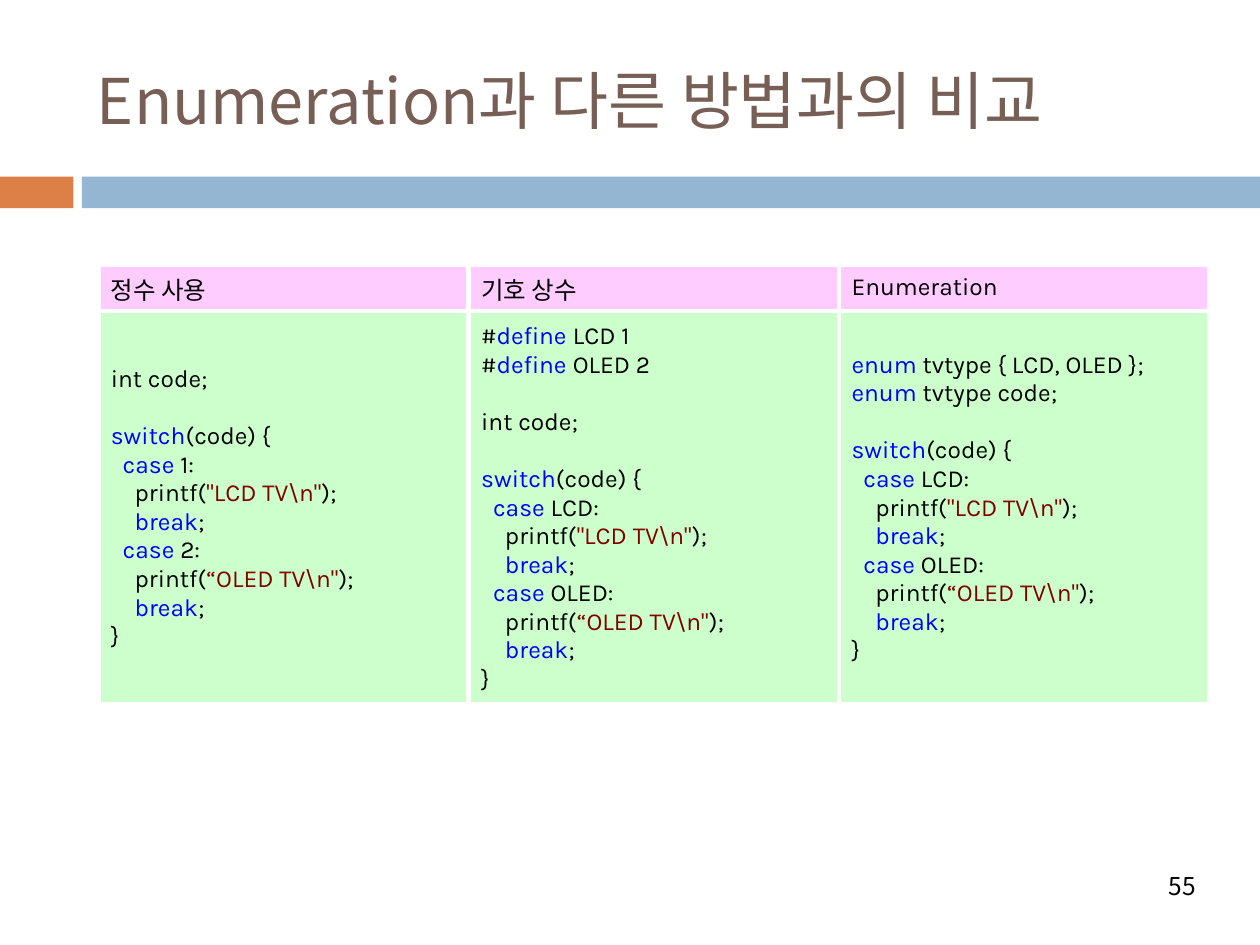
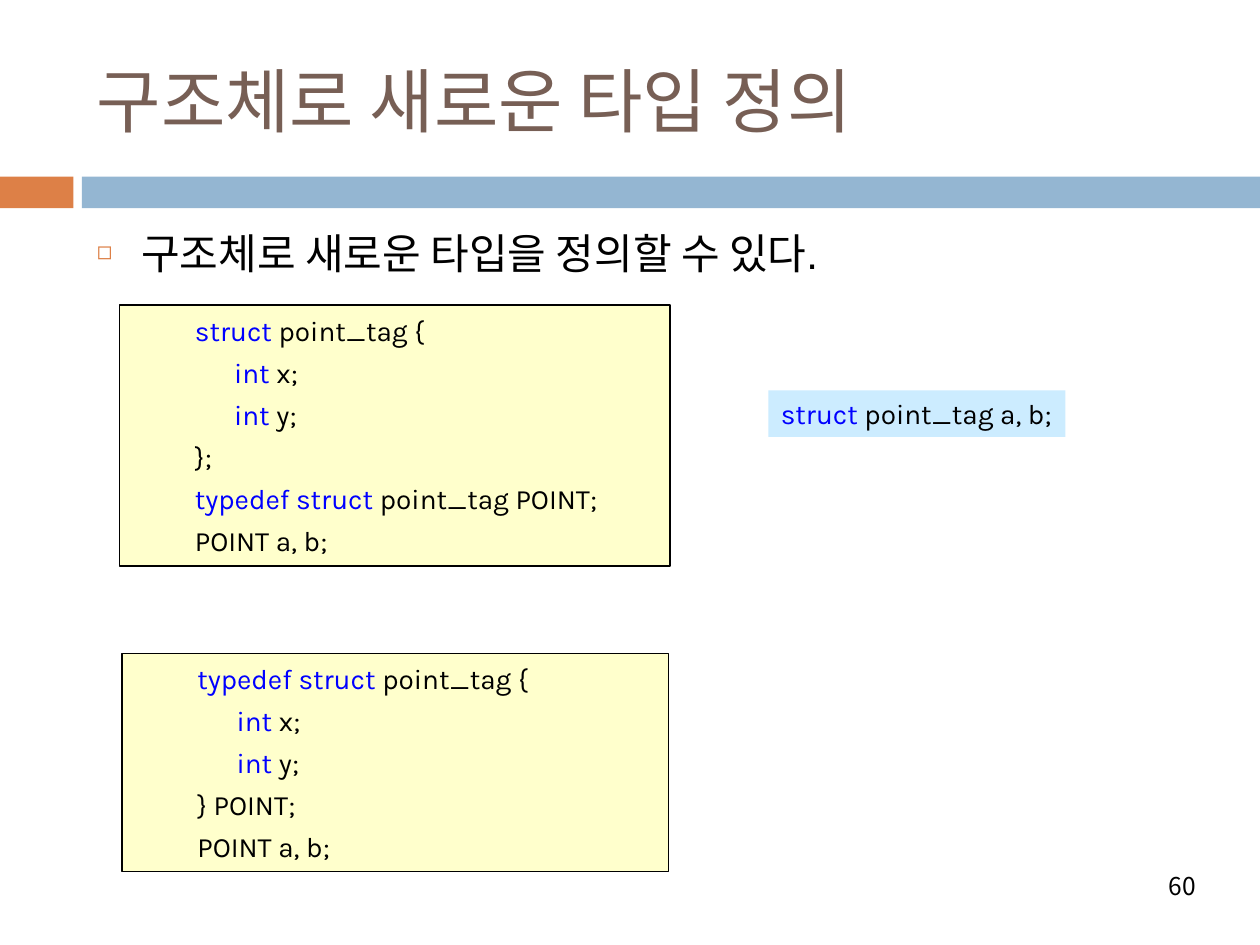
import dataclasses

import pptx
import pptx.dml.color
import pptx.enum.shapes
import pptx.enum.text
import pptx.oxml
import pptx.oxml.ns
import pptx.util
from pptx.util import Cm, Pt

ANCHOR = pptx.enum.text.MSO_ANCHOR
ALIGN = pptx.enum.text.PP_ALIGN


@dataclasses.dataclass(frozen=True)
class Theme:
    """Colours, fonts and type sizes of the deck."""
    black: str = "000000"
    white: str = "FFFFFF"
    title: str = "775F55"
    orange: str = "DD8047"
    blue: str = "94B6D2"
    keyword: str = "0000FF"
    string: str = "800000"
    header_fill: str = "FFCCFF"
    cell_fill: str = "CCFFCC"
    code_fill: str = "FFFFCC"
    note_fill: str = "CCECFF"
    korean_font: str = "Noto Sans CJK KR"
    code_font: str = "Karla"
    body_font: str = "Arial"
    title_size: int = 40
    long_title_size: int = 36
    body_size: int = 24
    code_size: int = 16
    small_size: int = 14


@dataclasses.dataclass(frozen=True)
class Box:
    """A rectangle measured in centimetres."""
    left: float
    top: float
    width: float
    height: float

    def lengths(self):
        """Return left, top, width and height as slide lengths."""
        return [Cm(side) for side in dataclasses.astuple(self)]


THEME = Theme()
SLIDE = Box(0, 0, 25.4, 19.05)
TITLE = Box(1.7, 0.64, 22.66, 2.74)
BODY = Box(1.7, 4.45, 22.66, 12.5)
BAND = Box(0, 3.56, SLIDE.width, 0.64)
NUMBER = Box(17.3, 17.35, 7.06, 1.02)


def color(code):
    """Turn a hexadecimal code into a colour."""
    return pptx.dml.color.RGBColor.from_string(code)


def write(para, text, size=THEME.small_size, font=THEME.code_font, ink=THEME.black,
          align=ALIGN.LEFT, before=0, margin=0, indent=0):
    """Write text into a paragraph, colouring parts between bars as code."""
    para.alignment = align
    para.space_before = Pt(before)
    properties = para._p.get_or_add_pPr()
    properties.set("marL", str(Cm(margin)))
    properties.set("indent", str(Cm(indent)))
    for place, part in enumerate(text.split("|")):
        if not part:
            continue
        span = para.add_run()
        span.text = part
        span.font.size = Pt(size)
        span.font.name = font
        marked = THEME.string if part[0] in "\"“" else THEME.keyword
        span.font.color.rgb = color(marked if place % 2 else ink)
        asian = pptx.oxml.parse_xml(
            f'<a:ea {pptx.oxml.ns.nsdecls("a")} typeface="{THEME.korean_font}"/>')
        span.font._element.find(pptx.oxml.ns.qn("a:latin")).addnext(asian)


def write_code(frame, lines, step, margin=0, before=0, gap=0, **style):
    """Write code lines, turning leading spaces and empty lines into spacing."""
    para, extra = frame.paragraphs[0], 0
    for line in lines:
        if not line:
            extra = gap
            continue
        if para.runs:
            para = frame.add_paragraph()
        code = line.lstrip(" ")
        level = (len(line) - len(code)) // 2
        write(para, code, margin=margin + level * step, before=before + extra, **style)
        extra = 0


def add_panel(page, box, fill, line=None):
    """Add a plain rectangle."""
    panel = page.shapes.add_shape(pptx.enum.shapes.MSO_SHAPE.RECTANGLE, *box.lengths())
    panel.shadow.inherit = False
    panel.fill.solid()
    panel.fill.fore_color.rgb = color(fill)
    if line:
        panel.line.color.rgb = color(line)
        panel.line.width = Pt(0.75)
    else:
        panel.line.fill.background()
    return panel


def add_band(page, box):
    """Add the two-coloured band below the title."""
    short, start = 1.48, 1.65
    add_panel(page, Box(box.left, box.top, short, box.height), THEME.orange)
    add_panel(page, Box(box.left + start, box.top, box.width - start, box.height), THEME.blue)


def place(holder, box, anchor):
    """Move a placeholder to a box and return its text frame."""
    holder.left, holder.top, holder.width, holder.height = box.lengths()
    frame = holder.text_frame
    frame.auto_size = pptx.enum.text.MSO_AUTO_SIZE.NONE
    frame.vertical_anchor = anchor
    return frame


def add_page(deck, layout, title, size, number):
    """Add a slide with its title, band and number."""
    page = deck.slides.add_slide(deck.slide_layouts.get_by_name(layout))
    add_band(page, BAND)
    frame = place(page.shapes.title, TITLE, ANCHOR.MIDDLE)
    write(frame.paragraphs[0], title, size=size, font=THEME.korean_font, ink=THEME.title)
    frame = page.shapes.add_textbox(*NUMBER.lengths()).text_frame
    frame.word_wrap = True
    frame.vertical_anchor = ANCHOR.MIDDLE
    write(frame.paragraphs[0], number, font=THEME.korean_font, align=ALIGN.RIGHT)
    return page


def format_cell(cell, fill):
    """Give a table cell white borders and a fill."""
    properties = cell._tc.get_or_add_tcPr()
    for side in "LRTB":
        properties.append(pptx.oxml.parse_xml(
            f'<a:ln{side} {pptx.oxml.ns.nsdecls("a")} w="{Pt(3)}"><a:solidFill>'
            f'<a:srgbClr val="{THEME.white}"/></a:solidFill></a:ln{side}>'))
    cell.fill.solid()
    cell.fill.fore_color.rgb = color(fill)
    cell.vertical_anchor = ANCHOR.MIDDLE


def add_comparison(page, box, columns):
    """Add a table with a heading and a code listing in each column."""
    header = 0.94
    table = page.shapes.add_table(2, len(columns), *box.lengths()).table
    table.first_row = table.horz_banding = False
    table.rows[0].height, table.rows[1].height = Cm(header), Cm(box.height - header)
    for index, (heading, lines) in enumerate(columns.items()):
        table.columns[index].width = Cm(box.width / len(columns))
        top, bottom = table.cell(0, index), table.cell(1, index)
        format_cell(top, THEME.header_fill)
        format_cell(bottom, THEME.cell_fill)
        write(top.text_frame.paragraphs[0], heading)
        write_code(bottom.text_frame, lines, step=0.24, gap=16.4)


def add_listing(page, box, lines):
    """Add a framed code listing."""
    frame = add_panel(page, box, THEME.code_fill, THEME.black).text_frame
    frame.word_wrap = True
    frame.vertical_anchor = ANCHOR.MIDDLE
    write_code(frame, lines, step=0.79, margin=1.27, before=4.8, size=THEME.code_size)


def add_note(page, box, text):
    """Add a one-line code note."""
    frame = add_panel(page, box, THEME.note_fill).text_frame
    frame.word_wrap = False
    frame.vertical_anchor = ANCHOR.TOP
    write(frame.paragraphs[0], text, size=THEME.code_size)


def add_bullet(page, box, text):
    """Fill the body placeholder with one bulleted line."""
    para = place(page.placeholders[1], box, ANCHOR.TOP).paragraphs[0]
    write(para, text, size=THEME.body_size, font=THEME.body_font,
          before=7, margin=0.89, indent=-0.89)
    names = pptx.oxml.ns.nsdecls("a")
    for mark in (f'<a:buClr {names}><a:srgbClr val="{THEME.orange}"/></a:buClr>',
                 f'<a:buSzPct {names} val="60000"/>',
                 f'<a:buFont {names} typeface="{THEME.body_font}"/>',
                 f'<a:buChar {names} char="◻"/>'):
        para._p.pPr.append(pptx.oxml.parse_xml(mark))


def switch_code(first, second):
    """Return the switch statement for two case labels."""
    lines = ["|switch|(code) {"]
    for label, message in ((first, '"LCD TV\\n"'), (second, '“OLED TV\\n"')):
        lines += [f"  |case| {label}:".replace("  |", "  |", 1),
                  f"    printf(|{message}|);", "    |break|;"]
    return lines + ["}"]


def build_comparison_page(deck):
    """Build the slide comparing enumeration with other methods."""
    page = add_page(deck, "Title Only", "Enumeration과 다른 방법과의 비교",
                    THEME.long_title_size, "55")
    named = switch_code("LCD", "OLED")
    add_comparison(page, Box(1.98, 5.33, 22.4, 8.69), {
        "정수 사용": ["int code;", "", *switch_code("1", "2")],
        "기호 상수": ["#|define| LCD 1", "#|define| OLED 2", "", "int code;", "", *named],
        "Enumeration": ["|enum |tvtype { LCD, OLED };", "|enum |tvtype code;", "", *named],
    })


def build_type_page(deck):
    """Build the slide defining a new type from a structure."""
    page = add_page(deck, "Title and Content", "구조체로 새로운 타입 정의",
                    THEME.title_size, "60")
    add_bullet(page, BODY, "구조체로 새로운 타입을 정의할 수 있다.")
    fields = ["  |int| x;", "  |int| y;"]
    add_listing(page, Box(2.41, 6.15, 11.1, 5.26), [
        "|struct| point_tag {", *fields, "};",
        "|typedef struct |point_tag POINT;", "POINT a, b;"])
    add_listing(page, Box(2.46, 13.18, 11.02, 4.39), [
        "|typedef struct |point_tag {", *fields, "} POINT;", "POINT a, b;"])
    add_note(page, Box(15.49, 7.87, 5.99, 0.94), "|struct |point_tag a, b;")


def main():
    """Build and save the deck."""
    deck = pptx.Presentation()
    deck.slide_width, deck.slide_height = Cm(SLIDE.width), Cm(SLIDE.height)
    build_comparison_page(deck)
    build_type_page(deck)
    deck.save("out.pptx")


if __name__ == "__main__":
    main()
